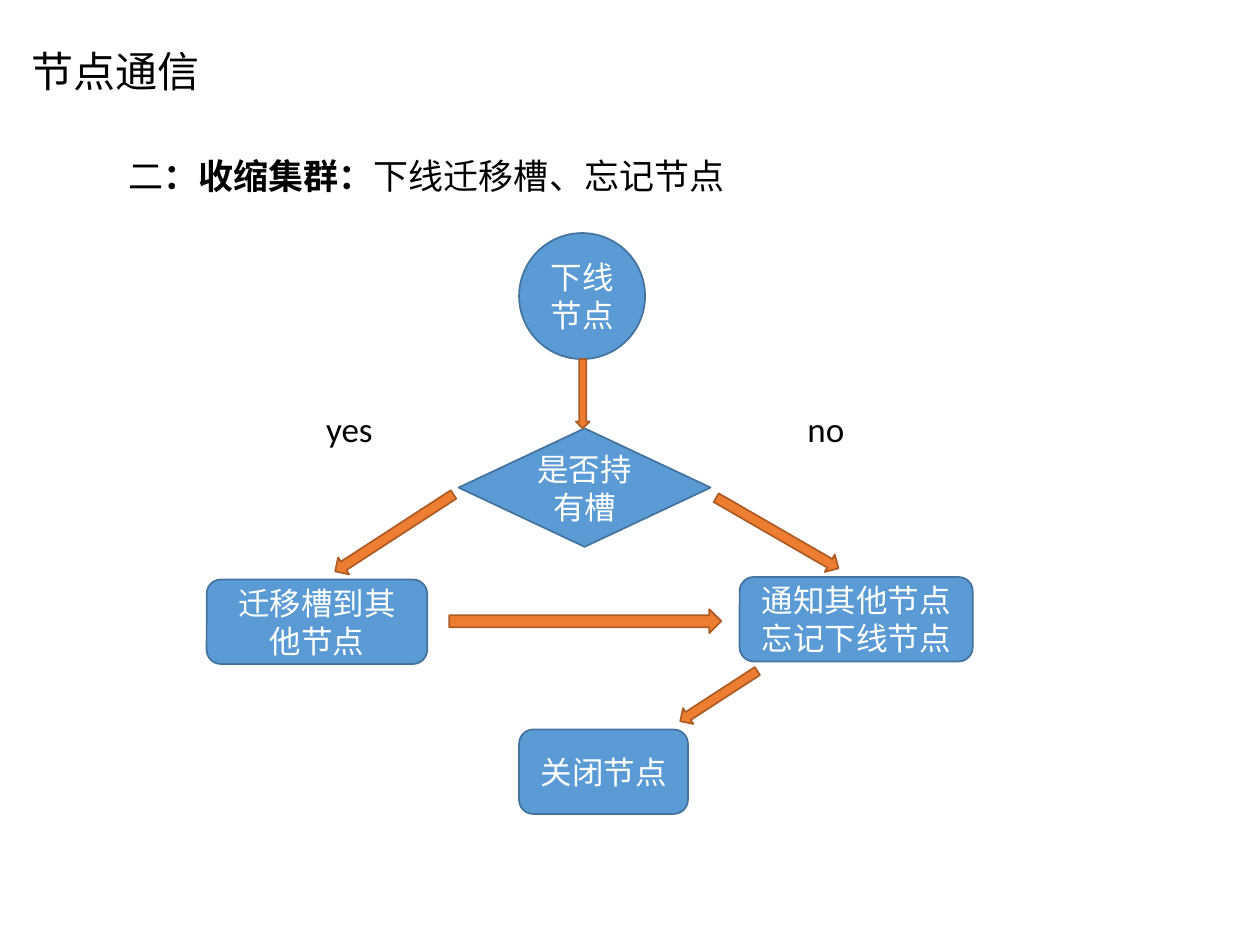
from dataclasses import dataclass

from lxml import etree
from pptx import Presentation
from pptx.dml.color import RGBColor
from pptx.enum import shapes, text
from pptx.oxml import ns
from pptx.util import Inches, Pt

KIND = shapes.MSO_SHAPE


@dataclass(frozen=True)
class Theme:
    latin: str = "Calibri"
    chinese: str = "Noto Sans CJK SC"
    ink: RGBColor = RGBColor(0, 0, 0)
    paper: RGBColor = RGBColor(255, 255, 255)
    step: RGBColor = RGBColor(0x5B, 0x9B, 0xD5)
    step_edge: RGBColor = RGBColor(0x43, 0x73, 0x9E)
    arrow: RGBColor = RGBColor(0xED, 0x7D, 0x31)
    arrow_edge: RGBColor = RGBColor(0xAF, 0x5C, 0x24)
    title: int = 24
    body: int = 20
    label: int = 18
    edge: int = 1


@dataclass(frozen=True)
class Box:
    column: float
    row: float
    columns: float
    rows: float

    def inner(self, column, row, columns, rows):
        return Box(self.column + column, self.row + row, columns, rows)

    def lengths(self):
        cell = Inches(0.1)
        return [round(n * cell) for n in (self.column, self.row, self.columns, self.rows)]


THEME = Theme()


def write(paragraph, wording, size, color, latin=THEME.latin, bold=False):
    run = paragraph.add_run()
    run.text = wording
    run.font.size = Pt(size)
    run.font.bold = bold
    run.font.name = latin
    run.font.color.rgb = color
    east_asian = etree.SubElement(run.font._element, ns.qn("a:ea"))
    east_asian.set("typeface", THEME.chinese)


def add_line(slide, box):
    frame = slide.shapes.add_textbox(*box.lengths()).text_frame
    frame.word_wrap = True
    frame.vertical_anchor = text.MSO_ANCHOR.MIDDLE
    return frame.paragraphs[0]


def add_block(slide, kind, box, fill, edge):
    block = slide.shapes.add_shape(kind, *box.lengths())
    block.shadow.inherit = False
    block.fill.solid()
    block.fill.fore_color.rgb = fill
    block.line.color.rgb = edge
    block.line.width = Pt(THEME.edge)
    return block


def add_step(slide, kind, box, wording):
    frame = add_block(slide, kind, box, THEME.step, THEME.step_edge).text_frame
    frame.word_wrap = True
    frame.vertical_anchor = text.MSO_ANCHOR.MIDDLE
    paragraph = frame.paragraphs[0]
    paragraph.alignment = text.PP_ALIGN.CENTER
    write(paragraph, wording, THEME.label, THEME.paper)


def add_arrow(slide, box, rotation):
    arrow = add_block(slide, KIND.DOWN_ARROW, box, THEME.arrow, THEME.arrow_edge)
    arrow.rotation = rotation


def heading(slide, box):
    title = add_line(slide, box.inner(0, 0, 39.7, 5))
    write(title, "节点通信", THEME.title, THEME.ink, THEME.chinese)
    topic = add_line(slide, box.inner(7.7, 8.3, 70, 5))
    for wording, bold in (("二", False), ("：收缩集群：", True), ("下线迁移槽、忘记节点", False)):
        write(topic, wording, THEME.body, THEME.ink, bold=bold)


def flowchart(slide, box):
    for wording, column in (("yes", 8.5), ("no", 46.7)):
        answer = add_line(slide, box.inner(column, 13, 8, 5))
        write(answer, wording, THEME.body, THEME.ink)

    steps = (
        (KIND.OVAL, "下线节点", 24.8, 0, 10, 10),
        (KIND.FLOWCHART_DECISION, "是否持有槽", 20, 15.5, 20, 9.4),
        (KIND.FLOWCHART_ALTERNATE_PROCESS, "迁移槽到其他节点", 0, 27.5, 17.5, 6.7),
        (KIND.FLOWCHART_ALTERNATE_PROCESS, "通知其他节点忘记下线节点", 42.3, 27.3, 18.5, 6.7),
        (KIND.FLOWCHART_ALTERNATE_PROCESS, "关闭节点", 24.8, 39.4, 13.4, 6.7),
    )
    for kind, wording, *place in steps:
        add_step(slide, kind, box.inner(*place), wording)

    arrows = (
        (29.3, 10, 1.1, 5.5, 0),
        (14.1, 18.2, 1.6, 11.2, 57),
        (44.5, 18.2, 1.6, 11.2, 300),
        (29.1, 20, 1.9, 21.6, 270),
        (39.9, 33.1, 1.5, 7.3, 57),
    )
    for *place, rotation in arrows:
        add_arrow(slide, box.inner(*place), rotation)


def main():
    deck = Presentation()
    deck.slide_width, deck.slide_height = Inches(10), Inches(7.5)
    slide = deck.slides.add_slide(deck.slide_layouts[6])
    heading(slide, Box(1.5, 3.1, 90, 13))
    flowchart(slide, Box(16.4, 18.5, 60.8, 46.1))
    deck.save("out.pptx")


if __name__ == "__main__":
    main()
